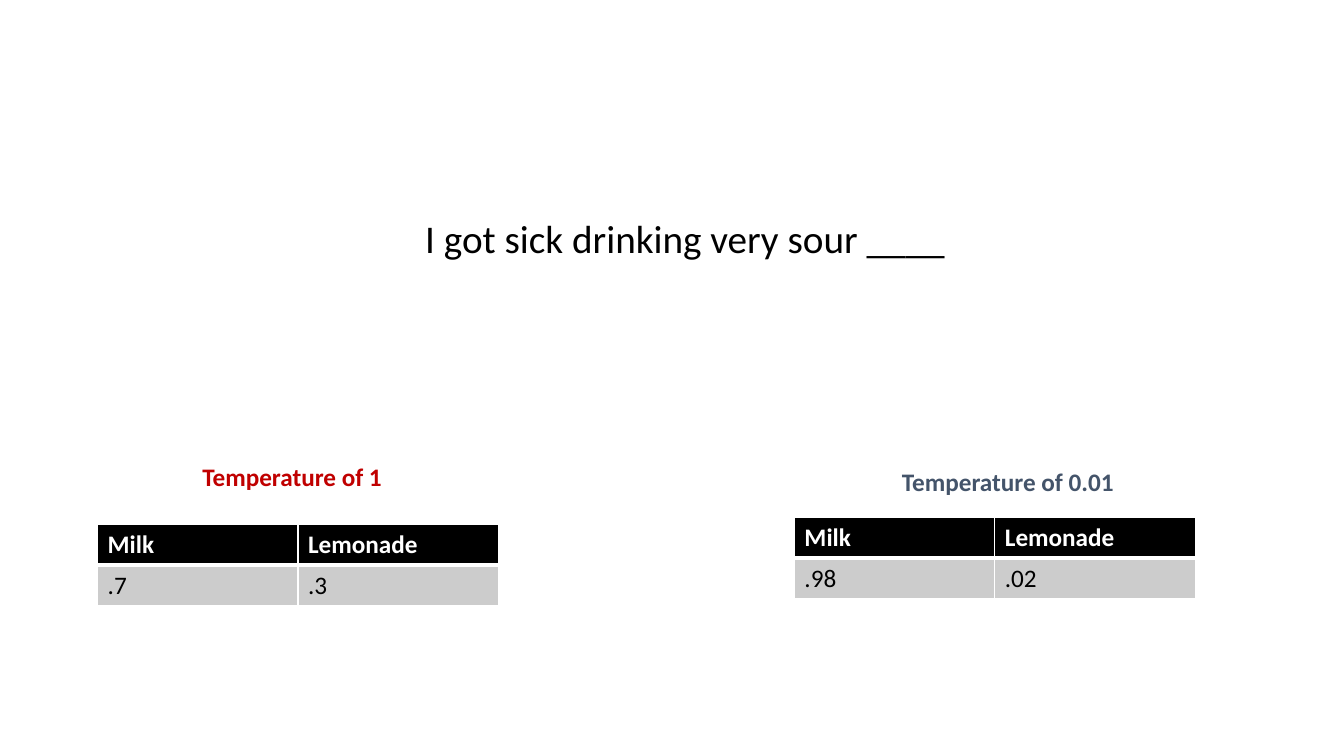
from lxml.etree import SubElement
from pptx import Presentation
from pptx.dml.color import RGBColor
from pptx.enum.text import MSO_ANCHOR, MSO_AUTO_SIZE, PP_ALIGN
from pptx.oxml.ns import qn
from pptx.util import Cm, Pt

# Content: places and sizes in cm
COLORS = {"black": "000000", "white": "FFFFFF", "grey": "CCCCCC",
          "red": "C00000", "slate": "44546A"}
SENTENCE = "I got sick drinking very sour ____"
SENTENCE_BOX = (10.46, 5.28, 13.77, 1.45)
WORDS = ["Milk", "Lemonade"]
TEMPERATURES = [
    {"label": "Temperature of 1", "color": "red", "label_box": (4.85, 11.51, 5.31, 1.02),
     "table_at": (2.46, 13.21), "chances": [".7", ".3"]},
    {"label": "Temperature of 0.01", "color": "slate", "label_box": (22.48, 11.63, 6.05, 1.02),
     "table_at": (20.02, 13.03), "chances": [".98", ".02"]},
]
COLUMN_WIDTH, ROW_HEIGHT = 5.05, 1.03
THIN, THICK = 1, 3


def write(frame, text, size=18, color="black", bold=False):
    paragraph = frame.paragraphs[0]
    paragraph.alignment = PP_ALIGN.LEFT
    run = paragraph.add_run()
    run.text = text
    run.font.name = "Calibri"
    run.font.size = Pt(size)
    run.font.bold = bold
    run.font.color.rgb = RGBColor.from_string(COLORS[color])


def fit_line(frame):
    frame.word_wrap = False
    frame.auto_size = MSO_AUTO_SIZE.SHAPE_TO_FIT_TEXT
    frame.vertical_anchor = MSO_ANCHOR.TOP


def add_borders(cell, **widths):
    properties = cell._tc.get_or_add_tcPr()
    for side in "LRTB":
        line = SubElement(properties, qn(f"a:ln{side}"), w=str(Pt(widths.get(side, THIN))))
        fill = SubElement(line, qn("a:solidFill"))
        SubElement(fill, qn("a:srgbClr"), val=COLORS["white"])


def add_chances(slide, left, top, chances):
    table = slide.shapes.add_table(
        2, len(WORDS), Cm(left), Cm(top),
        Cm(COLUMN_WIDTH * len(WORDS)), Cm(ROW_HEIGHT * 2)).table
    looks = [
        (WORDS, "black", {"color": "white", "bold": True}, {"B": THICK}),
        (chances, "grey", {}, {"T": THICK}),
    ]
    for row, (texts, fill, font, borders) in enumerate(looks):
        for column, text in enumerate(texts):
            cell = table.cell(row, column)
            add_borders(cell, **borders)
            cell.fill.solid()
            cell.fill.fore_color.rgb = RGBColor.from_string(COLORS[fill])
            write(cell.text_frame, text, **font)


def main():
    deck = Presentation()
    deck.slide_width, deck.slide_height = Cm(33.87), Cm(19.05)
    slide = deck.slides.add_slide(deck.slide_layouts[5])

    # Sentence to complete
    sentence = slide.shapes.title
    sentence.left, sentence.top, sentence.width, sentence.height = map(Cm, SENTENCE_BOX)
    fit_line(sentence.text_frame)
    write(sentence.text_frame, SENTENCE, size=28)

    # Word chances at each temperature
    for temperature in TEMPERATURES:
        add_chances(slide, *temperature["table_at"], temperature["chances"])
        label = slide.shapes.add_textbox(*map(Cm, temperature["label_box"]))
        fit_line(label.text_frame)
        write(label.text_frame, temperature["label"], color=temperature["color"], bold=True)

    deck.save("out.pptx")


if __name__ == "__main__":
    main()
